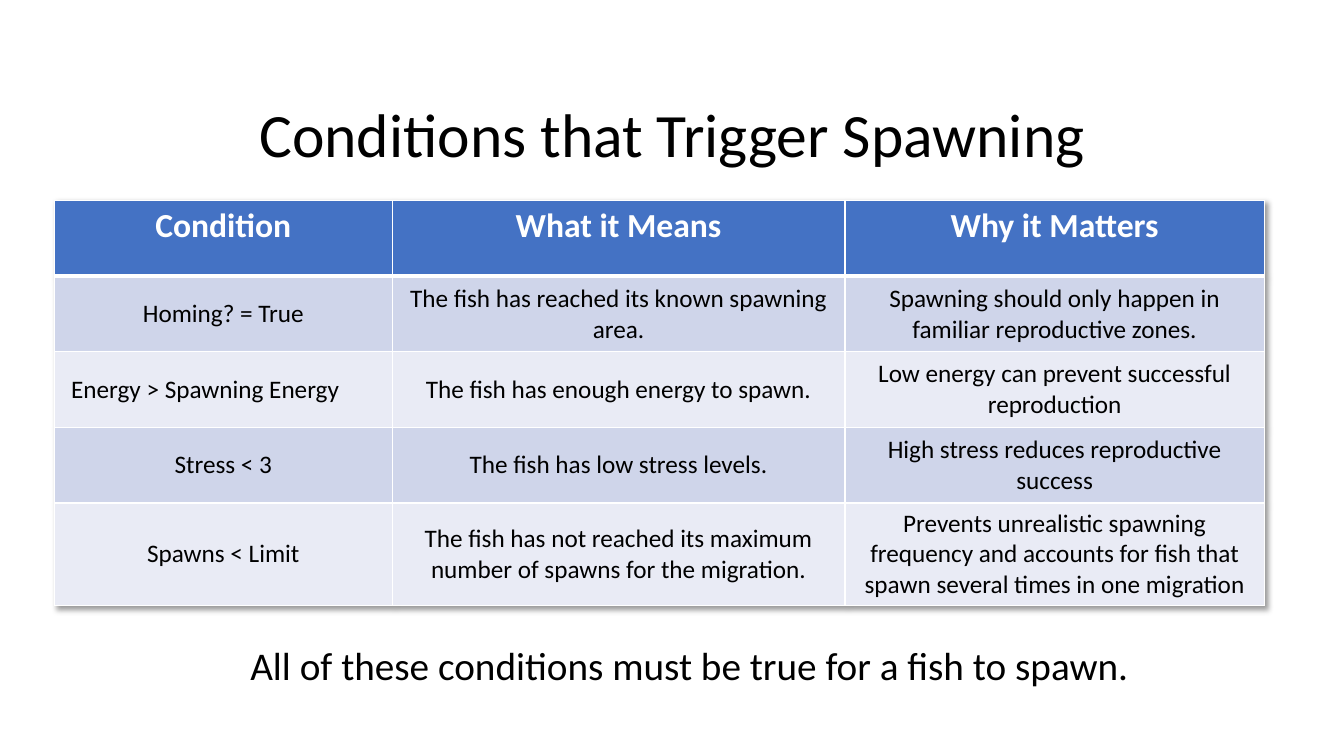
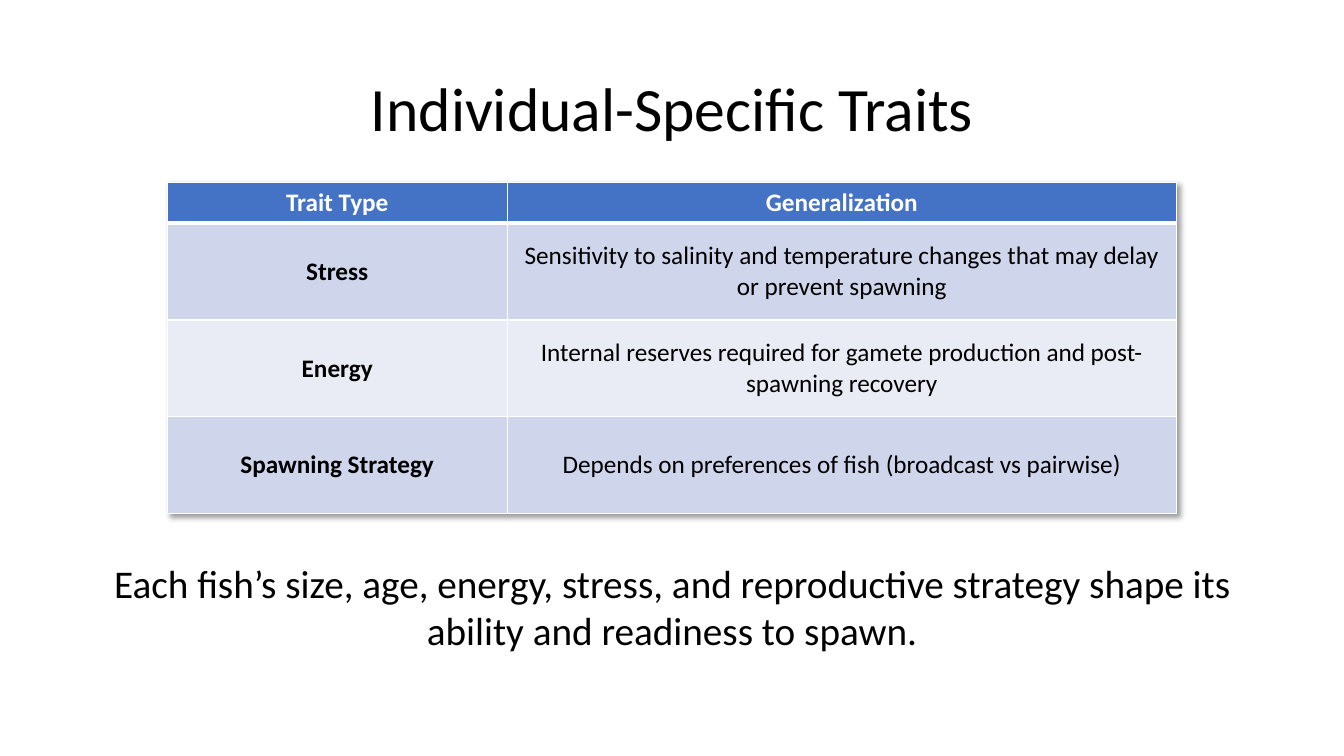
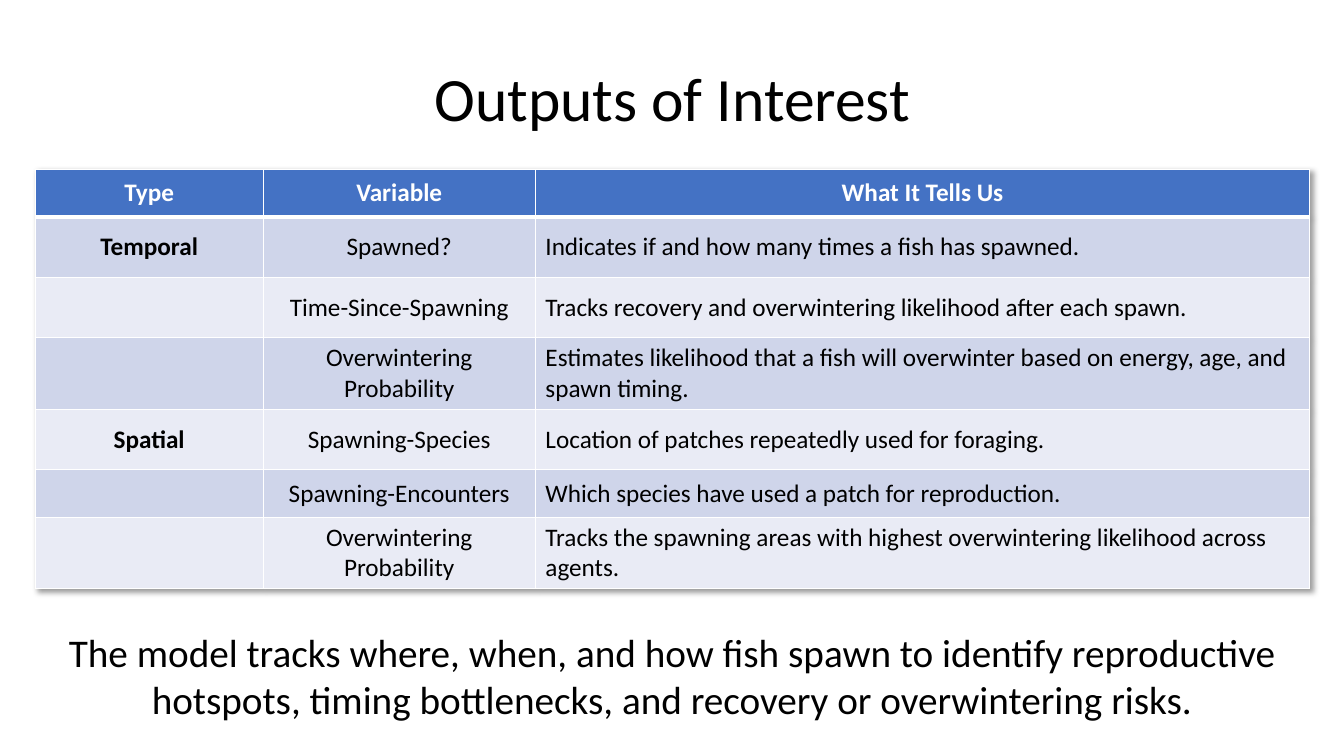
import pptx
import pptx.util
import pptx.dml.color
import pptx.enum.text
import pptx.oxml
import pptx.oxml.ns

HUES = {
    "ink": "000000",
    "paper": "FFFFFF",
    "head": "4472C4",
    "odd": "CFD5EA",
    "even": "E9EBF5",
}
FONT = "Calibri"
SCALE = 9144
ALIGN = pptx.enum.text.PP_ALIGN
ANCHOR = pptx.enum.text.MSO_ANCHOR

SLIDES = [
    {
        "title": "Conditions that Trigger Spawning",
        "top": 64,
        "table": (54, 199),
        "cols": [335, 449, 416],
        "rows": [75] * 5,
        "head": (24, ANCHOR.TOP),
        "bold": [],
        "left": [],
        "pads": {(2, 0): 46},
        "cells": [
            ("Condition", "What it Means", "Why it Matters"),
            ("Homing? = True", "The fish has reached its known spawning area.",
             "Spawning should only happen in familiar reproductive zones."),
            ("Energy > Spawning Energy", "The fish has enough energy to spawn.",
             "Low energy can prevent successful reproduction"),
            ("Stress < 3", "The fish has low stress levels.",
             "High stress reduces reproductive success"),
            ("Spawns < Limit",
             "The fish has not reached its maximum number of spawns for the migration.",
             "Prevents unrealistic spawning frequency and accounts for fish that "
             "spawn several times in one migration"),
        ],
        "note": "All of these conditions must be true for a fish to spawn.",
        "box": (93, 631, 1181, 57),
    },
    {
        "title": "Individual-Specific Traits",
        "top": 38,
        "table": (166, 181),
        "cols": [337, 664],
        "rows": [39, 96, 96, 96],
        "head": (18, ANCHOR.MIDDLE),
        "bold": [0],
        "left": [],
        "pads": {},
        "cells": [
            ("Trait Type", "Generalization"),
            ("Stress", "Sensitivity to salinity and temperature changes that may "
             "delay or prevent spawning"),
            ("Energy", "Internal reserves required for gamete production and "
             "post-spawning recovery"),
            ("Spawning Strategy",
             "Depends on preferences of fish (broadcast vs pairwise)"),
        ],
        "note": "Each fish’s size, age, energy, stress, and reproductive strategy "
                "shape its ability and readiness to spawn.",
        "box": (55, 550, 1223, 104),
    },
    {
        "title": "Outputs of Interest",
        "top": 28,
        "table": (35, 168),
        "cols": [226, 270, 768],
        "rows": [47, 60, 60, 60, 60, 47, 47],
        "head": (18, ANCHOR.MIDDLE),
        "bold": [0],
        "left": [2],
        "pads": {},
        "cells": [
            ("Type", "Variable", "What It Tells Us"),
            ("Temporal", "Spawned?",
             "Indicates if and how many times a fish has spawned."),
            ("", "Time-Since-Spawning",
             "Tracks recovery and overwintering likelihood after each spawn."),
            ("", "Overwintering Probability",
             "Estimates likelihood that a fish will overwinter based on energy, "
             "age, and spawn timing."),
            ("Spatial", "Spawning-Species",
             "Location of patches repeatedly used for foraging."),
            ("", "Spawning-Encounters",
             "Which species have used a patch for reproduction."),
            ("", "Overwintering Probability",
             "Tracks the spawning areas with highest overwintering likelihood "
             "across agents."),
        ],
        "note": "The model tracks where, when, and how fish spawn to identify "
                "reproductive hotspots, timing bottlenecks, and recovery or "
                "overwintering risks.",
        "box": (55, 618, 1223, 104),
    },
]


def px(num):
    """Turn px into EMU."""
    return pptx.util.Emu(num * SCALE)


def tint(name):
    """Return a named colour."""
    return pptx.dml.color.RGBColor.from_string(HUES[name])


def write(frame, text, size, hue="ink", bold=False, align=ALIGN.CENTER):
    """Put one styled run in a text frame and return its paragraph."""
    para = frame.paragraphs[0]
    para.alignment = align
    if text:
        run = para.add_run()
        run.text = text
        run.font.name = FONT
        run.font.size = pptx.util.Pt(size)
        run.font.bold = bold
        run.font.color.rgb = tint(hue)
    return para


def node(body):
    """Parse a piece of drawing XML."""
    tag, rest = body.split(" ", 1)
    return pptx.oxml.parse_xml(f"{tag} {pptx.oxml.ns.nsdecls('a')} {rest}")


def edge(cell, row):
    """Draw the white borders of a cell, thick below the header."""
    wide = {"L": 1, "R": 1, "T": 3 if row == 1 else 1, "B": 3 if row == 0 else 1}
    props = cell._tc.get_or_add_tcPr()
    for spot, (side, size) in enumerate(wide.items()):
        props.insert(spot, node(
            f'<a:ln{side} w="{pptx.util.Pt(size)}"><a:solidFill>'
            f'<a:srgbClr val="{HUES["paper"]}"/></a:solidFill></a:ln{side}>'))


def shade(table):
    """Give a table a soft drop shadow."""
    table._tbl.tblPr.insert(0, node(
        '<a:effectLst ><a:outerShdw blurRad="50800" dist="38100" dir="2700000" '
        'algn="tl" rotWithShape="0"><a:srgbClr val="000000"><a:alpha val="40000"/>'
        '</a:srgbClr></a:outerShdw></a:effectLst>'))


def add_title(slide, text, top):
    """Place the slide title at the given top."""
    title = slide.shapes.title
    title.left, title.top, title.width, title.height = map(px, (92, top, 1150, 145))
    title.text_frame.vertical_anchor = ANCHOR.MIDDLE
    write(title.text_frame, text, 44).line_spacing = 0.9


def add_grid(slide, data):
    """Place the banded table of a slide."""
    cols, rows = data["cols"], data["rows"]
    left, top = data["table"]
    table = slide.shapes.add_table(
        len(rows), len(cols),
        *map(px, (left, top, sum(cols), sum(rows)))).table
    for col, wide in zip(table.columns, cols):
        col.width = px(wide)
    for row, high in zip(table.rows, rows):
        row.height = px(high)
    shade(table)
    for i, line in enumerate(data["cells"]):
        for j, text in enumerate(line):
            cell = table.cell(i, j)
            cell.fill.solid()
            if i == 0:
                size, cell.vertical_anchor = data["head"]
                cell.fill.fore_color.rgb = tint("head")
                write(cell.text_frame, text, size, "paper", True)
            else:
                cell.vertical_anchor = ANCHOR.MIDDLE
                cell.fill.fore_color.rgb = tint("odd" if i % 2 else "even")
                align = ALIGN.LEFT if j in data["left"] else ALIGN.CENTER
                write(cell.text_frame, text, 18, "ink", j in data["bold"], align)
            edge(cell, i)
    for spot, pad in data["pads"].items():
        table.cell(*spot).margin_right = px(pad)


def add_note(slide, text, box):
    """Place the closing sentence in its box."""
    frame = slide.shapes.add_textbox(*map(px, box)).text_frame
    frame.word_wrap = True
    frame.auto_size = pptx.enum.text.MSO_AUTO_SIZE.SHAPE_TO_FIT_TEXT
    write(frame, text, 28)


def main():
    """Build and save the deck."""
    deck = pptx.Presentation()
    deck.slide_width, deck.slide_height = px(1333), px(750)
    for data in SLIDES:
        slide = deck.slides.add_slide(deck.slide_layouts[5])
        add_title(slide, data["title"], data["top"])
        add_grid(slide, data)
        add_note(slide, data["note"], data["box"])
    deck.save("out.pptx")


if __name__ == "__main__":
    main()
